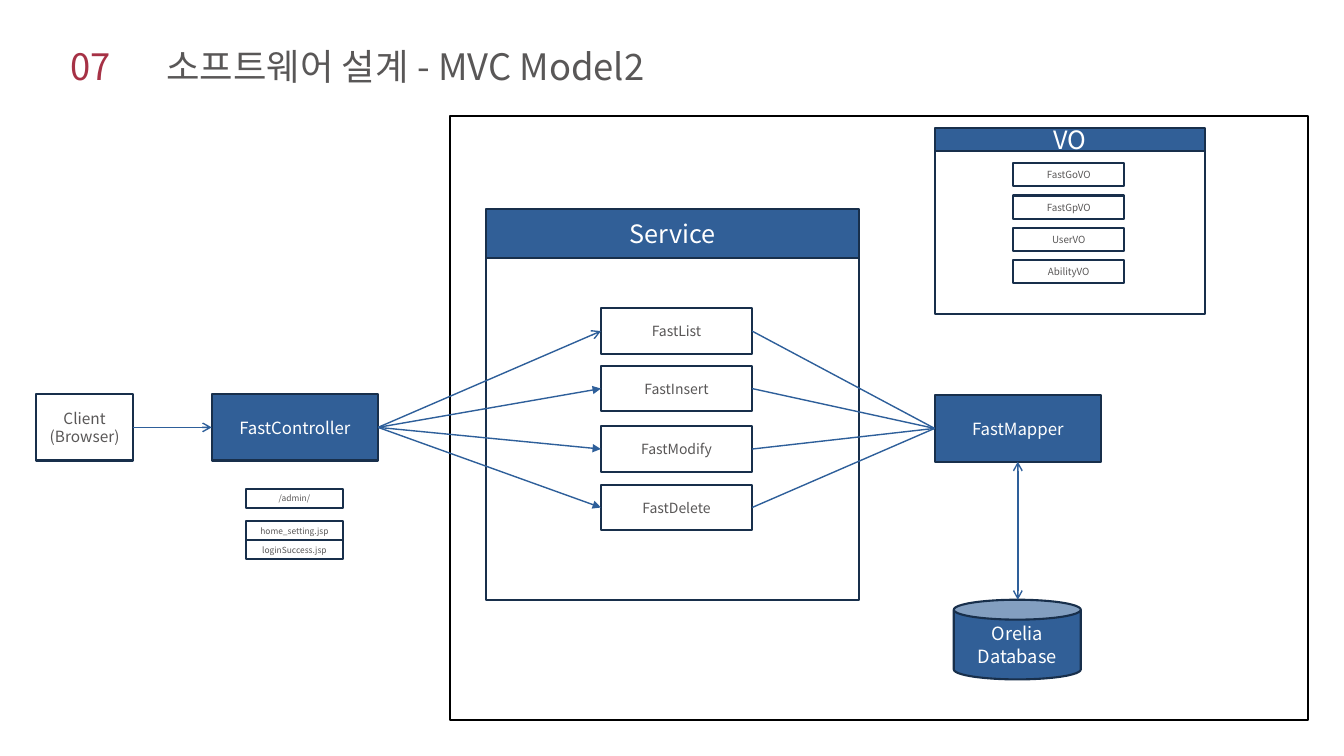
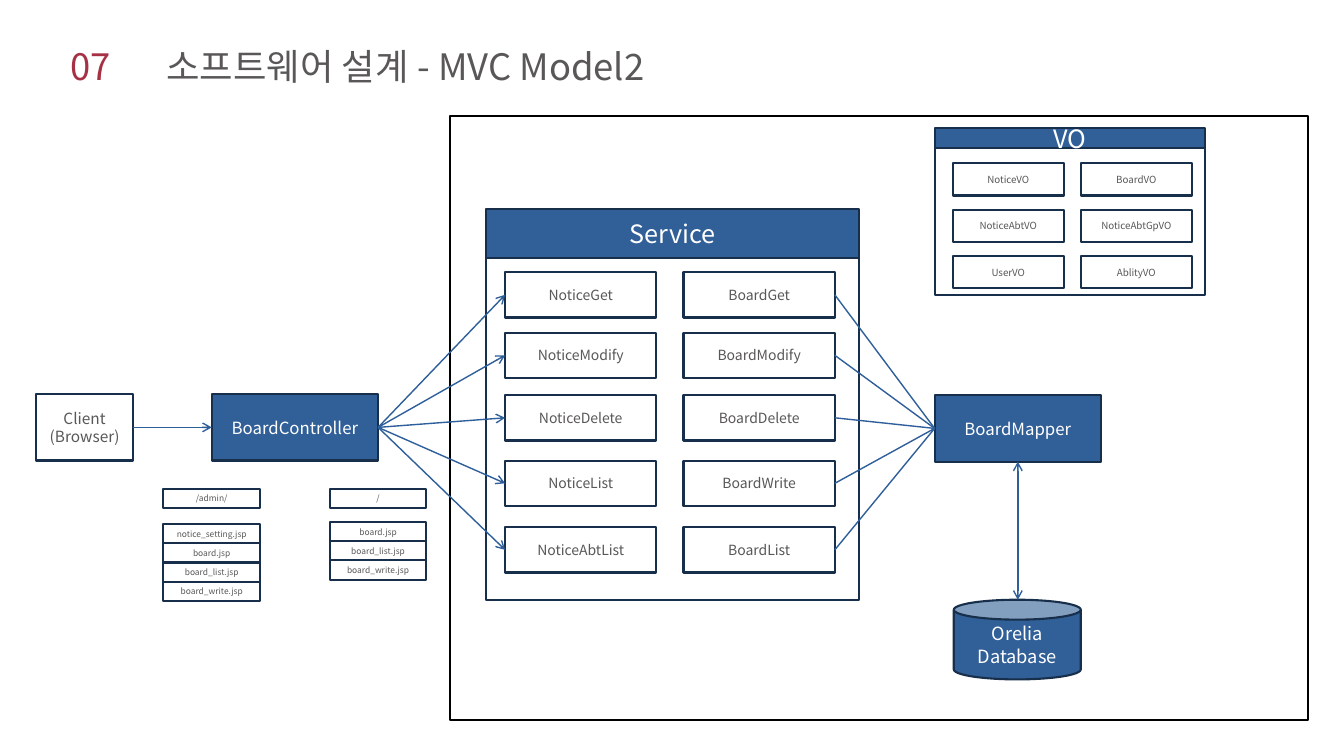
import pptx
import pptx.dml.color
import pptx.enum.shapes
import pptx.enum.text
import pptx.oxml
import pptx.oxml.ns
import pptx.util
from lxml import etree

Inches, Pt = pptx.util.Inches, pptx.util.Pt
RGBColor = pptx.dml.color.RGBColor
SHAPE = pptx.enum.shapes.MSO_SHAPE
MIDDLE = pptx.enum.text.MSO_ANCHOR.MIDDLE
CENTER = pptx.enum.text.PP_ALIGN.CENTER
qn = pptx.oxml.ns.qn

FONT = "Noto Sans CJK KR"
WHITE = RGBColor(0xFF, 0xFF, 0xFF)
BLACK = RGBColor(0, 0, 0)
GRAY = RGBColor(0x59, 0x57, 0x57)
RED = RGBColor(0xA6, 0x31, 0x45)
BLUE = RGBColor(0x31, 0x5F, 0x97)
NAVY = RGBColor(0x18, 0x2F, 0x4B)
ARROW_BLUE = RGBColor(0x2E, 0x5F, 0x9A)

TOP, LEFT, BOTTOM, RIGHT = range(4)
SERVICE_SIZE = (1.5, 0.45)
PAGE_SIZE = (0.96, 0.19)
VO_WIDTH = 1.1

NUMBER, TITLE = "07", "소프트웨어 설계 - MVC Model2"
CLIENT = "Client\n(Browser)"
DATABASE = "Orelia\nDatabase"

# Service columns are (left, names); page stacks are (left, address, top, files).
DIAGRAMS = [
    {
        "controller": "FastController",
        "mapper": "FastMapper",
        "service_tops": (3.06, 3.63, 4.23, 4.81),
        "services": [(5.96, ("FastList", "FastInsert", "FastModify", "FastDelete"))],
        "arrowheads": ("arrow", "triangle", "triangle", "triangle"),
        "vo_panel": {"bottom": 3.12, "band": 0.23},
        "vo_lefts": (10.05,),
        "vo_pitch": 0.32,
        "vo_height": 0.23,
        "vos": [("FastGoVO",), ("FastGpVO",), ("UserVO",), ("AbilityVO",)],
        "pages": [(2.44, "/admin/", 5.17, ("home_setting.jsp", "loginSuccess.jsp"))],
    },
    {
        "controller": "BoardController",
        "mapper": "BoardMapper",
        "service_tops": (2.7, 3.3, 3.92, 4.57, 5.23),
        "services": [
            (5.01, ("NoticeGet", "NoticeModify", "NoticeDelete", "NoticeList",
                    "NoticeAbtList")),
            (6.78, ("BoardGet", "BoardModify", "BoardDelete", "BoardWrite",
                    "BoardList")),
        ],
        "arrowheads": ("arrow",) * 5,
        "vo_panel": {"bottom": 2.93, "band": 0.2},
        "vo_lefts": (9.45, 10.72),
        "vo_pitch": 0.46,
        "vo_height": 0.32,
        "vos": [("NoticeVO", "BoardVO"), ("NoticeAbtVO", "NoticeAbtGpVO"),
                ("UserVO", "AblityVO")],
        "pages": [
            (1.62, "/admin/", 5.2, ("notice_setting.jsp", "board.jsp",
                                    "board_list.jsp", "board_write.jsp")),
            (3.27, "/", 5.18, ("board.jsp", "board_list.jsp", "board_write.jsp")),
        ],
    },
]


def style_run(run, size, color):
    run.font.size = Pt(size)
    run.font.name = FONT
    run.font.color.rgb = color
    east_asian = etree.SubElement(run.font._element, qn("a:ea"))
    east_asian.set("typeface", FONT)


def add_box(shapes, at, text="", size=10, fill=WHITE, line=NAVY, preset=SHAPE.RECTANGLE):
    """Add an outlined box with centred text; fill None leaves it open."""
    box = shapes.add_shape(preset, *map(Inches, at))
    box.shadow.inherit = False
    box.line.color.rgb = line
    box.line.width = Pt(1.5)
    if fill is None:
        box.fill.background()
    else:
        box.fill.solid()
        box.fill.fore_color.rgb = fill
    if text:
        frame = box.text_frame
        frame.text = text
        frame.word_wrap = True
        frame.vertical_anchor = MIDDLE
        for paragraph in frame.paragraphs:
            paragraph.alignment = CENTER
            if len(frame.paragraphs) > 1:
                paragraph.line_spacing = Pt(round(size * 1.2))
            for run in paragraph.runs:
                style_run(run, size, WHITE if fill == BLUE else GRAY)
    return box


def add_panel(slide, left, top, width, bottom, band, heading):
    """Group an open frame with a heading band across its top."""
    panel = slide.shapes.add_group_shape().shapes
    add_box(panel, (left, top + 0.08, width, bottom - top - 0.08), fill=None)
    add_box(panel, (left, top, width, band), heading, 18, BLUE)


def add_link(slide, start, end, head=None, tail=None):
    """Draw a line; each end is a (box, side) pair or an (x, y) point in EMU."""
    link = slide.shapes.add_connector(
        pptx.enum.shapes.MSO_CONNECTOR.STRAIGHT, 0, 0, 0, 0)
    link.begin_connect(*start)
    if isinstance(end[0], int):
        link.end_x, link.end_y = end
    else:
        link.end_connect(*end)
    link.line.color.rgb = ARROW_BLUE
    link.line.width = Pt(1)
    outline = link.line._get_or_add_ln()
    for tag, kind in (("a:headEnd", head), ("a:tailEnd", tail)):
        if kind:
            etree.SubElement(outline, qn(tag)).set("type", kind)
    etree.SubElement(link._element.spPr, qn("a:effectLst"))


def add_title(slide):
    frame = slide.shapes.add_textbox(*map(Inches, (0.6, 0.38, 6.93, 0.54))).text_frame
    frame.word_wrap = True
    frame.vertical_anchor = MIDDLE
    paragraph = frame.paragraphs[0]
    stops = etree.SubElement(paragraph._p.get_or_add_pPr(), qn("a:tabLst"))
    stop = etree.SubElement(stops, qn("a:tab"))
    stop.set("pos", str(Inches(0.95)))
    stop.set("algn", "l")
    for text, color in ((NUMBER + "\t", RED), (TITLE, GRAY)):
        run = paragraph.add_run()
        run.text = text
        style_run(run, 26, color)


def add_diagram(slide, diagram):
    shapes = slide.shapes
    add_title(slide)
    client = add_box(shapes, (0.36, 3.91, 0.96, 0.66), CLIENT, 11)
    controller = add_box(shapes, (2.1, 3.91, 1.65, 0.66), diagram["controller"], 12, BLUE)
    add_link(slide, (client, RIGHT), (controller, LEFT), tail="arrow")

    add_box(shapes, (4.46, 1.15, 8.51, 5.99), fill=None, line=BLACK)
    add_panel(slide, 4.82, 2.07, 3.7, 5.95, 0.49, "Service")
    add_panel(slide, 9.27, 1.27, 2.68, heading="VO", **diagram["vo_panel"])

    database = add_box(shapes, (9.46, 5.95, 1.26, 0.79), DATABASE, 13, BLUE,
                       preset=SHAPE.CAN)
    mapper = add_box(shapes, (9.27, 3.92, 1.65, 0.66), diagram["mapper"], 12, BLUE)
    database_top = (mapper.left + mapper.width // 2, database.top)
    add_link(slide, (mapper, BOTTOM), database_top, head="arrow", tail="arrow")

    columns = [
        [add_box(shapes, (left, top, *SERVICE_SIZE), name)
         for top, name in zip(diagram["service_tops"], names)]
        for left, names in diagram["services"]
    ]
    for service, arrowhead in zip(columns[0], diagram["arrowheads"]):
        add_link(slide, (controller, RIGHT), (service, LEFT), tail=arrowhead)
    for service in columns[-1]:
        add_link(slide, (service, RIGHT), (mapper, LEFT))

    for row, names in enumerate(diagram["vos"]):
        top = 1.62 + row * diagram["vo_pitch"]
        for left, name in zip(diagram["vo_lefts"], names):
            add_box(shapes, (left, top, VO_WIDTH, diagram["vo_height"]), name, 7)

    for left, address, first_top, files in diagram["pages"]:
        add_box(shapes, (left, 4.85, *PAGE_SIZE), address, 6)
        for row, file_name in enumerate(files):
            add_box(shapes, (left, first_top + row * PAGE_SIZE[1], *PAGE_SIZE),
                    file_name, 6)


def main():
    deck = pptx.Presentation()
    deck.slide_width, deck.slide_height = Inches(13.33), Inches(7.5)
    for diagram in DIAGRAMS:
        add_diagram(deck.slides.add_slide(deck.slide_layouts[6]), diagram)
    deck.save("out.pptx")


if __name__ == "__main__":
    main()
